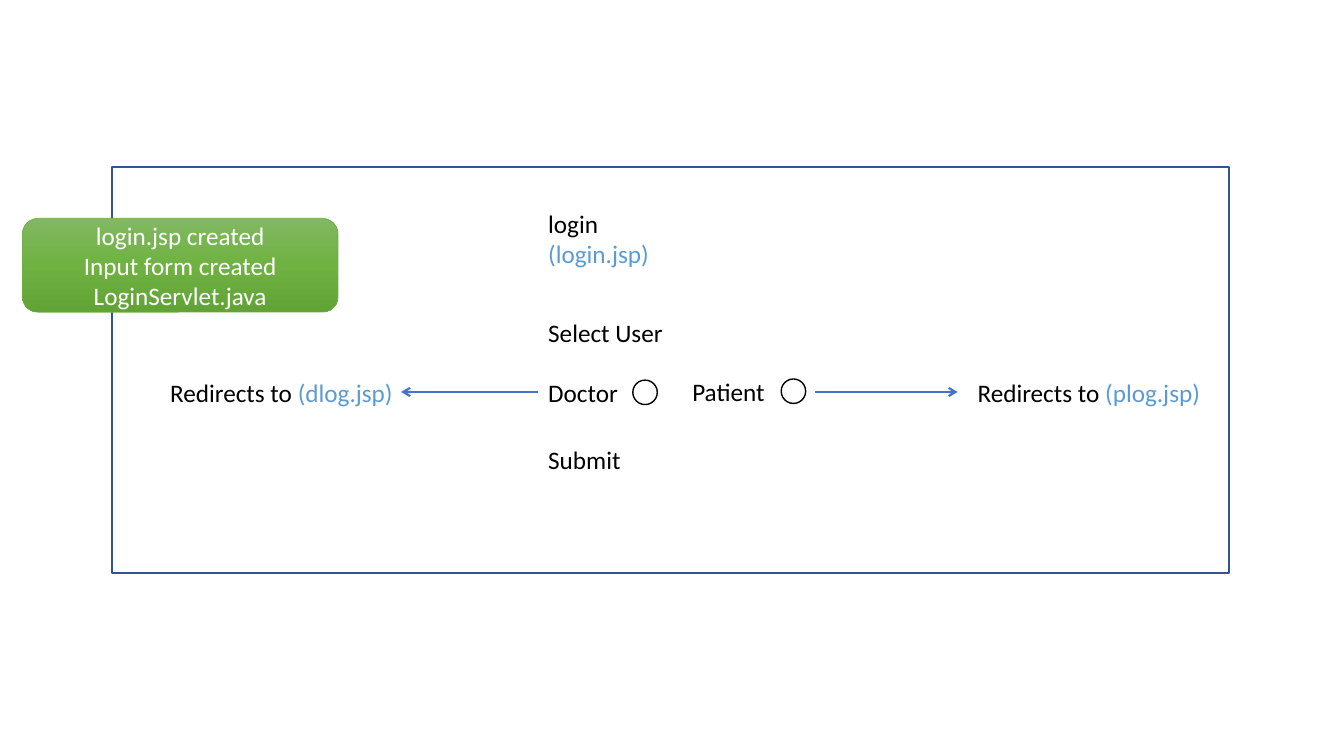
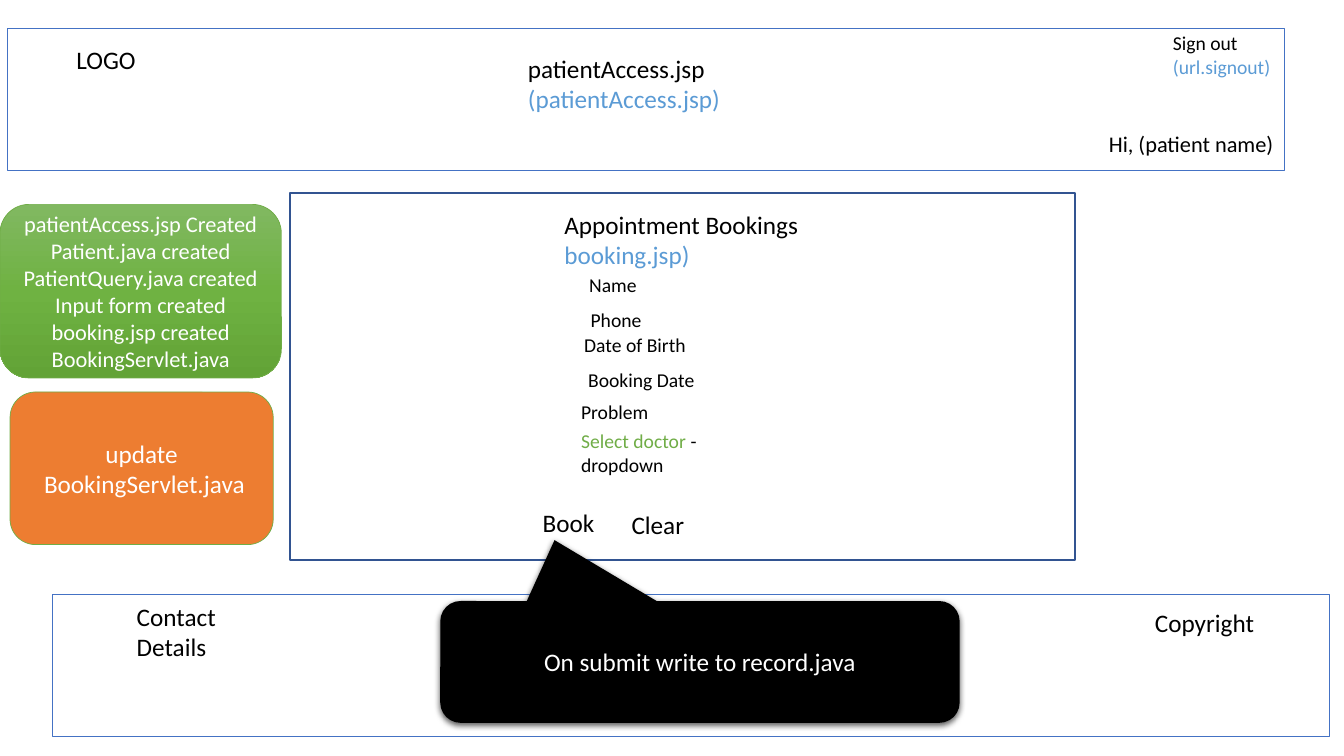
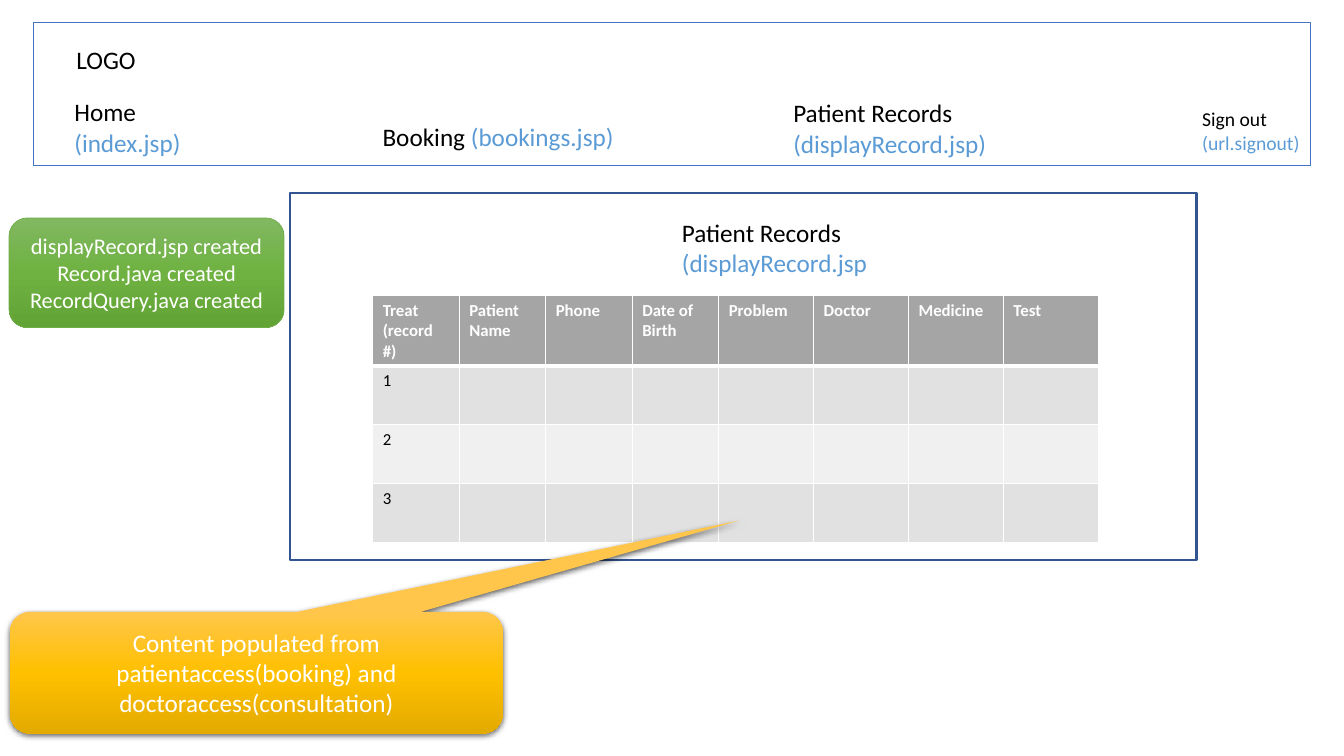
from copy import deepcopy
from lxml.etree import SubElement
from pptx import Presentation
from pptx.dml.color import RGBColor
from pptx.enum.shapes import MSO_CONNECTOR as CONNECTOR, MSO_SHAPE as SHAPE
from pptx.enum.text import MSO_ANCHOR as ANCHOR, MSO_AUTO_SIZE as AUTO_SIZE, PP_ALIGN as ALIGN
from pptx.oxml.ns import qn
from pptx.util import Pt

BLACK = RGBColor(0, 0, 0)
WHITE = RGBColor(255, 255, 255)
LINK = RGBColor(0x5B, 0x9B, 0xD5)
GREEN = RGBColor(0x70, 0xAD, 0x47)
ORANGE = RGBColor(0xED, 0x7D, 0x31)
BLUE = RGBColor(0x44, 0x72, 0xC4)
NAVY = RGBColor(0x32, 0x54, 0x91)
HEAD_GREY = RGBColor(0xA5, 0xA5, 0xA5)
ROW_GREYS = (RGBColor(0xE1, 0xE1, 0xE1), RGBColor(0xF0, 0xF0, 0xF0))
GREEN_FADE = (RGBColor(0x81, 0xB8, 0x61), RGBColor(0x6F, 0xB2, 0x42), RGBColor(0x62, 0xA3, 0x36))
GOLD_FADE = (RGBColor(0xFF, 0xC6, 0x4B), RGBColor(0xFF, 0xC0, 0), RGBColor(0xE3, 0xAB, 0))
FONT = "Calibri"
BAND_SIZE = (912, 101.5)


def link(text):
    """Return a paragraph holding one link-coloured run."""
    return [(text, LINK)]


LOGO = (47.5, 28, 134, 18, 1, ["LOGO"])
SIGN_OUT = (84.2, 14, 2, ["Sign out", link("(url.signout)")])

# panels: left, top, width, height, line colour, line width
# texts: left, top, width, font size, lines, paragraphs
# notes: left, top, width, height, fill, font size, paragraphs
# callouts: left, top, width, height, fill, pointer, text
SLIDES = [
    dict(
        panels=[(79.9, 119.5, 797.8, 289.5, NAVY, 1.5)],
        texts=[
            (384.5, 145.4, 132, 18, 2, ["login", link("(login.jsp)")]),
            (384.5, 223.2, 110, 18, 1, ["Select User"]),
            (384.5, 265.7, 68, 18, 1, ["Doctor"]),
            (487.4, 265, 68, 18, 1, ["Patient"]),
            (384.5, 313.9, 110, 18, 1, ["Submit"]),
            (691.2, 265.9, 188, 18, 1, [[("Redirects to ", BLACK), ("(plog.jsp)", LINK)]]),
            (114.5, 265.7, 225, 18, 1, [[("Redirects to ", BLACK), ("(dlog.jsp)", LINK)]]),
        ],
        notes=[(16, 156, 225.5, 67, GREEN_FADE, 18,
                ["login.jsp created", "Input form created", "LoginServlet.java"])],
        radios=[(452, 271.5), (558, 270.7)],
        arrows=[(384.5, 286.5), (582.5, 684)],
        arrow_y=280,
    ),
    dict(
        panels=[(207.4, 138, 560.8, 262, NAVY, 1.5),
                (5.3, 20.2, *BAND_SIZE, BLUE, 0.75),
                (37.4, 424.4, *BAND_SIZE, BLUE, 0.75)],
        texts=[
            LOGO,
            (830.7, 18.8, *SIGN_OUT),
            (785, 89.5, 170, 16, 1, ["Hi, (patient name)"]),
            (370, 34.2, 212, 18, 2, ["patientAccess.jsp", link("(patientAccess.jsp)")]),
            (396, 146, 212, 18, 2, ["Appointment Bookings", link("booking.jsp)")]),
            (413.8, 191.7, 124, 14, 1, ["Name"]),
            (414.8, 216.3, 69, 14, 1, ["Phone"]),
            (410.2, 234.2, 124, 14, 1, ["Date of Birth"]),
            (413, 259.2, 121, 14, 1, ["Booking Date"]),
            (408, 282, 124, 14, 1, ["Problem"]),
            (408, 303, 124, 14, 2, [[("Select doctor ", GREEN), ("- dropdown", BLACK)]]),
            (380.6, 358.8, 161, 18, 1, ["Book"]),
            (444, 360, 79, 18, 1, ["Clear"]),
            (90.6, 425.8, 100, 18, 2, ["Contact Details"]),
            (817.9, 430.2, 100, 18, 1, ["Copyright"]),
        ],
        notes=[(0, 146, 201, 124, GREEN_FADE, 16,
                ["patientAccess.jsp Created", "Patient.java created",
                 "PatientQuery.java created", "Input form created",
                 "booking.jsp created", "BookingServlet.java"]),
               (7.2, 280, 188, 109, ORANGE, 18, ["update", " BookingServlet.java"])],
        callouts=[(314.5, 429.3, 371, 87, BLACK, (-0.28, -1),
                   "On submit write to record.java")],
    ),
    dict(
        panels=[(207.4, 138, 647.3, 262, NAVY, 1.5),
                (23.8, 16.4, *BAND_SIZE, BLUE, 0.75)],
        texts=[
            LOGO,
            (851.6, 72.9, *SIGN_OUT),
            (46.1, 65.5, 136, 18, 2, [[("Home ", BLACK), ("(index.jsp)", LINK)]]),
            (266.2, 82.9, 233, 18, 1, [[("Booking ", BLACK), ("(bookings.jsp)", LINK)]]),
            (559.6, 66.2, 225, 18, 2,
             [[("Patient Records ", BLACK), ("(displayRecord.jsp)", LINK)]]),
            (480, 151.6, 171, 18, 2, ["Patient Records", link("(displayRecord.jsp")]),
        ],
        notes=[(6.5, 155.7, 196.5, 78.3, GREEN_FADE, 16,
                ["displayRecord.jsp created", "Record.java created",
                 "RecordQuery.java created"])],
        records=[
            ["Treat\n(record #)", "Patient Name", "Phone", "Date of Birth",
             "Problem", "Doctor", "Medicine", "Test"],
            ["1"], ["2"], ["3"],
        ],
        callouts=[(7.2, 437, 352, 87, GOLD_FADE, (0.98, -1.25),
                   "Content populated from patientaccess(booking) and "
                   "doctoraccess(consultation)")],
    ),
]
RECORDS_AT = (266.2, 210.9)
RECORD_WIDTHS = [61.8] * 4 + [67.8] * 4
RECORD_HEIGHTS = [50.4] + [42] * 3
RADIO_SIZE = 17.5


def write(frame, paragraphs, size, colour, align=ALIGN.LEFT):
    """Fill a text frame with paragraphs, each a string or a list of coloured runs."""
    frame.word_wrap = True
    for index, content in enumerate(paragraphs):
        paragraph = frame.add_paragraph() if index else frame.paragraphs[0]
        paragraph.alignment = align
        paragraph.font.name, paragraph.font.size = FONT, Pt(size)
        runs = [(content, colour)] if isinstance(content, str) else content
        for text, run_colour in runs:
            run = paragraph.add_run()
            run.text = text
            run.font.color.rgb = run_colour


def add_label(slide, left, top, width, size, lines, paragraphs):
    """Add a text box as tall as its lines."""
    box = slide.shapes.add_textbox(Pt(left), Pt(top), Pt(width), Pt(lines * size * 1.2 + 7.2))
    write(box.text_frame, paragraphs, size, BLACK)
    box.text_frame.auto_size = AUTO_SIZE.SHAPE_TO_FIT_TEXT


def add_block(slide, kind, box, fill=None, line=None, line_width=1):
    """Add a shape with a plain, a three-stop or no fill, and an optional outline."""
    block = slide.shapes.add_shape(kind, *map(Pt, box))
    block.shadow.inherit = False
    if fill is None:
        block.fill.background()
    elif isinstance(fill, RGBColor):
        block.fill.solid()
        block.fill.fore_color.rgb = fill
    else:
        block.fill.gradient()
        block.fill.gradient_angle = 270
        stops = block._element.spPr.find(".//" + qn("a:gsLst"))
        stops.append(deepcopy(stops[0]))
        for stop, position, colour in zip(block.fill.gradient_stops, (0, 0.5, 1), fill):
            stop.position = position
            stop.color.rgb = colour
    if line is None:
        block.line.fill.background()
    else:
        block.line.color.rgb = line
        block.line.width = Pt(line_width)
    return block


def add_note(slide, left, top, width, height, fill, size, paragraphs):
    """Add a rounded progress note."""
    note = add_block(slide, SHAPE.ROUNDED_RECTANGLE, (left, top, width, height), fill, GREEN, 0.5)
    note.text_frame.vertical_anchor = ANCHOR.MIDDLE
    write(note.text_frame, paragraphs, size, WHITE, ALIGN.CENTER)


def add_callout(slide, left, top, width, height, fill, pointer, text):
    """Add a rounded callout with a soft shadow below it."""
    callout = add_block(slide, SHAPE.ROUNDED_RECTANGULAR_CALLOUT, (left, top, width, height), fill)
    callout.adjustments[0], callout.adjustments[1] = pointer
    effects = callout._element.spPr.find(qn("a:effectLst"))
    shadow = SubElement(effects, qn("a:outerShdw"), blurRad=str(Pt(4.5)), dist=str(Pt(1.5)),
                        dir="5400000", algn="ctr", rotWithShape="0")
    tint = SubElement(shadow, qn("a:srgbClr"), val=str(BLACK))
    SubElement(tint, qn("a:alpha"), val="63000")
    callout.text_frame.vertical_anchor = ANCHOR.MIDDLE
    write(callout.text_frame, [text], 18, WHITE, ALIGN.CENTER)


def add_arrow(slide, start, end, y):
    """Add a horizontal line with an open arrowhead at its end."""
    arrow = slide.shapes.add_connector(CONNECTOR.STRAIGHT, Pt(start), Pt(y), Pt(end), Pt(y))
    arrow.line.color.rgb = BLUE
    arrow.line.width = Pt(1.5)
    SubElement(arrow.line._get_or_add_ln(), qn("a:tailEnd"), type="arrow")
    SubElement(arrow._element.spPr, qn("a:effectLst"))


def style_cell(cell, fill, bottom_width):
    """Give a cell white borders and a plain fill."""
    properties = cell._tc.get_or_add_tcPr()
    for side, width in (("L", 1), ("R", 1), ("T", 1), ("B", bottom_width)):
        border = SubElement(properties, qn("a:ln" + side), w=str(Pt(width)))
        SubElement(SubElement(border, qn("a:solidFill")), qn("a:srgbClr"), val=str(WHITE))
    cell.fill.solid()
    cell.fill.fore_color.rgb = fill


def add_records(slide, rows):
    """Add the records table; short rows are left empty to the right."""
    table = slide.shapes.add_table(
        len(rows), len(RECORD_WIDTHS), *map(Pt, RECORDS_AT),
        Pt(sum(RECORD_WIDTHS)), Pt(sum(RECORD_HEIGHTS))).table
    for column, width in zip(table.columns, RECORD_WIDTHS):
        column.width = Pt(width)
    for r, (values, height) in enumerate(zip(rows, RECORD_HEIGHTS)):
        table.rows[r].height = Pt(height)
        for c in range(len(RECORD_WIDTHS)):
            cell = table.cell(r, c)
            style_cell(cell, ROW_GREYS[(r - 1) % 2] if r else HEAD_GREY, 1 if r else 3)
            if c < len(values):
                write(cell.text_frame, values[c].split("\n"), 12, BLACK if r else WHITE)
                for paragraph in cell.text_frame.paragraphs:
                    paragraph.font.bold = r == 0


def build_slide(deck, content):
    """Draw one slide from its content, back to front."""
    slide = deck.slides.add_slide(deck.slide_layouts[6])
    for *box, line, line_width in content["panels"]:
        add_block(slide, SHAPE.RECTANGLE, box, None, line, line_width)
    for label in content["texts"]:
        add_label(slide, *label)
    for note in content["notes"]:
        add_note(slide, *note)
    for left, top in content.get("radios", []):
        add_block(slide, SHAPE.OVAL, (left, top, RADIO_SIZE, RADIO_SIZE), WHITE, BLACK)
    for start, end in content.get("arrows", []):
        add_arrow(slide, start, end, content["arrow_y"])
    if "records" in content:
        add_records(slide, content["records"])
    for callout in content.get("callouts", []):
        add_callout(slide, *callout)


deck = Presentation()
deck.slide_width, deck.slide_height = Pt(960), Pt(540)
for slide_content in SLIDES:
    build_slide(deck, slide_content)
deck.save("out.pptx")
